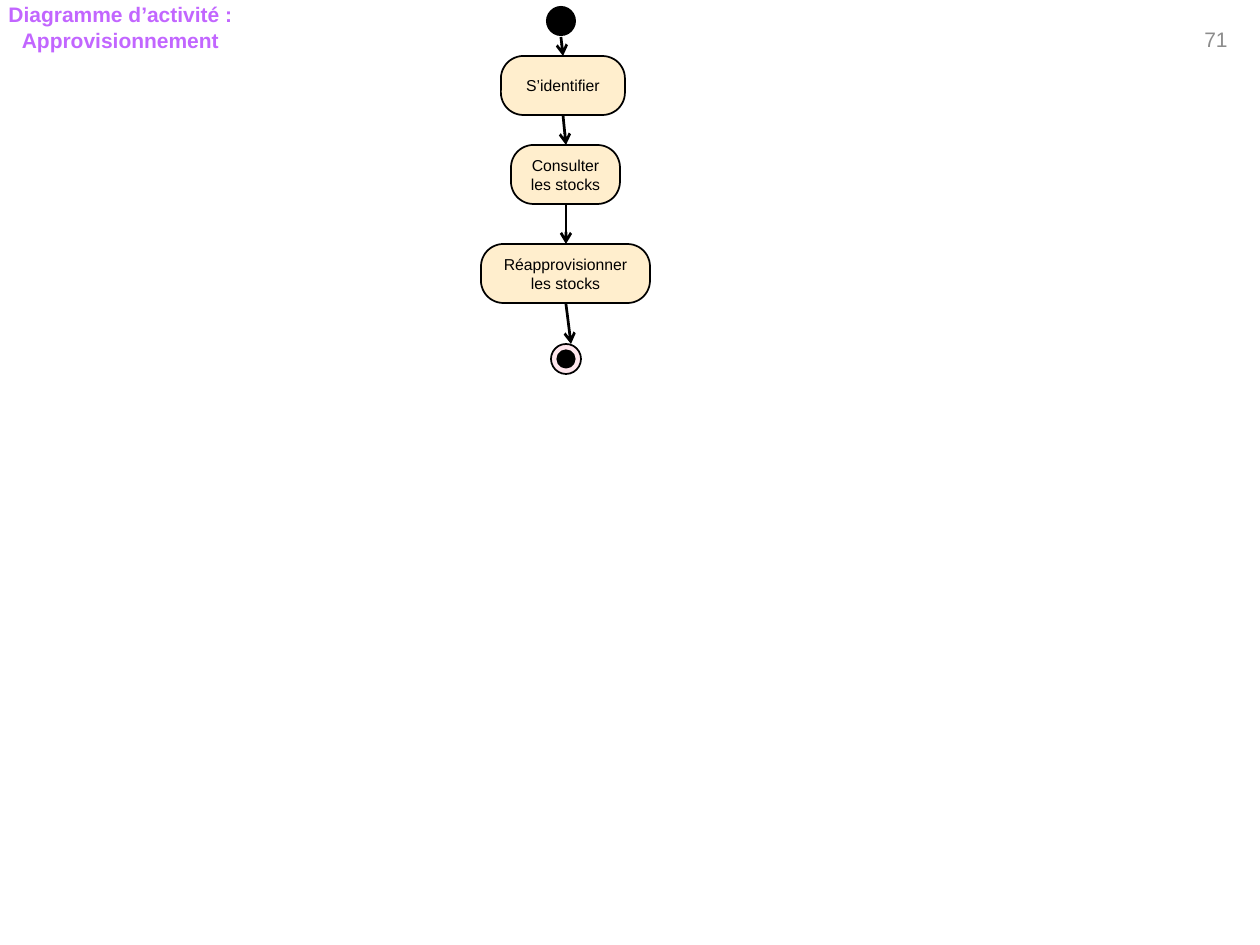
from lxml.etree import SubElement
from pptx import Presentation
from pptx.dml.color import RGBColor
from pptx.enum.shapes import MSO_CONNECTOR, MSO_SHAPE
from pptx.enum.text import MSO_ANCHOR, PP_ALIGN
from pptx.oxml.ns import qn
from pptx.util import Emu, Pt

PX = 914400 // 126
BLACK = RGBColor(0x00, 0x00, 0x00)
CREAM = RGBColor(0xFF, 0xEE, 0xCD)
PINK = RGBColor(0xFE, 0xE6, 0xED)
PURPLE = RGBColor(0xC2, 0x66, 0xFF)
GREY = RGBColor(0x8C, 0x8C, 0x8C)

AXIS = 566
ACTION_HEIGHT = 59
NODE_SIZE = 30
ACTIONS = [
    ("S’identifier", 501, 56, 124),
    ("Consulter les stocks", 511, 145, 109),
    ("Réapprovisionner les stocks", 481, 244, 169),
]
ARROWS = [
    (561, 37, 563, 56),
    (563, 115, AXIS, 145),
    (AXIS, 204, AXIS, 244),
    (AXIS, 304, 571, 344),
]


def px(*values):
    return [Emu(v * PX) for v in values]


def add_text(sp, text, size=9, color=BLACK, bold=False, inset=8,
             anchor=MSO_ANCHOR.MIDDLE):
    tf = sp.text_frame
    tf.word_wrap = True
    tf.vertical_anchor = anchor
    tf.margin_left, tf.margin_right = px(inset, inset)
    tf.margin_top = tf.margin_bottom = 0
    for i, line in enumerate(text.split("\n")):
        p = tf.paragraphs[0] if i == 0 else tf.add_paragraph()
        p.alignment = PP_ALIGN.CENTER
        r = p.add_run()
        r.text = line
        r.font.name = "Arial"
        r.font.size = Pt(size)
        r.font.bold = bold
        r.font.color.rgb = color


def add_node(s, kind, x, y, w, h, fill, adj=None, outline=True):
    sp = s.shapes.add_shape(kind, *px(x, y, w, h))
    sp.shadow.inherit = False
    sp.fill.solid()
    sp.fill.fore_color.rgb = fill
    if outline:
        sp.line.color.rgb = BLACK
        sp.line.width = Pt(1)
    else:
        sp.line.fill.background()
    if adj is not None:
        sp.adjustments[0] = adj
    return sp


def add_label(s, text, x, y, w, h, **fmt):
    add_text(s.shapes.add_textbox(*px(x, y, w, h)), text, inset=0, **fmt)


def add_arrow(s, x1, y1, x2, y2):
    cxn = s.shapes.add_connector(MSO_CONNECTOR.STRAIGHT, *px(x1, y1, x2, y2))
    cxn.line.color.rgb = BLACK
    cxn.line.width = Pt(1.57)
    SubElement(cxn.line._get_or_add_ln(), qn("a:tailEnd"), type="arrow")
    SubElement(cxn._element.spPr, qn("a:effectLst"))


def main():
    prs = Presentation()
    prs.slide_width, prs.slide_height = px(1260, 945)
    s = prs.slides.add_slide(prs.slide_layouts[6])

    add_label(s, "71", 1172, 0, 88, 78, size=12, color=GREY)
    add_label(s, "Diagramme d’activité :\nApprovisionnement", 0, 2, 241, 56,
              size=12, color=PURPLE, bold=True, anchor=MSO_ANCHOR.TOP)

    for arrow in ARROWS:
        add_arrow(s, *arrow)
    for text, x, y, w in ACTIONS:
        sp = add_node(s, MSO_SHAPE.ROUNDED_RECTANGLE, x, y, w, ACTION_HEIGHT,
                      CREAM, adj=0.38)
        add_text(sp, text)

    add_node(s, MSO_SHAPE.OVAL, 546, 6, NODE_SIZE, NODE_SIZE, BLACK,
             outline=False)
    end = (AXIS - NODE_SIZE // 2, 344, NODE_SIZE, NODE_SIZE)
    add_node(s, MSO_SHAPE.OVAL, *end, BLACK, outline=False)
    add_node(s, MSO_SHAPE.DONUT, *end, PINK, adj=0.21)

    prs.save("out.pptx")


main()
